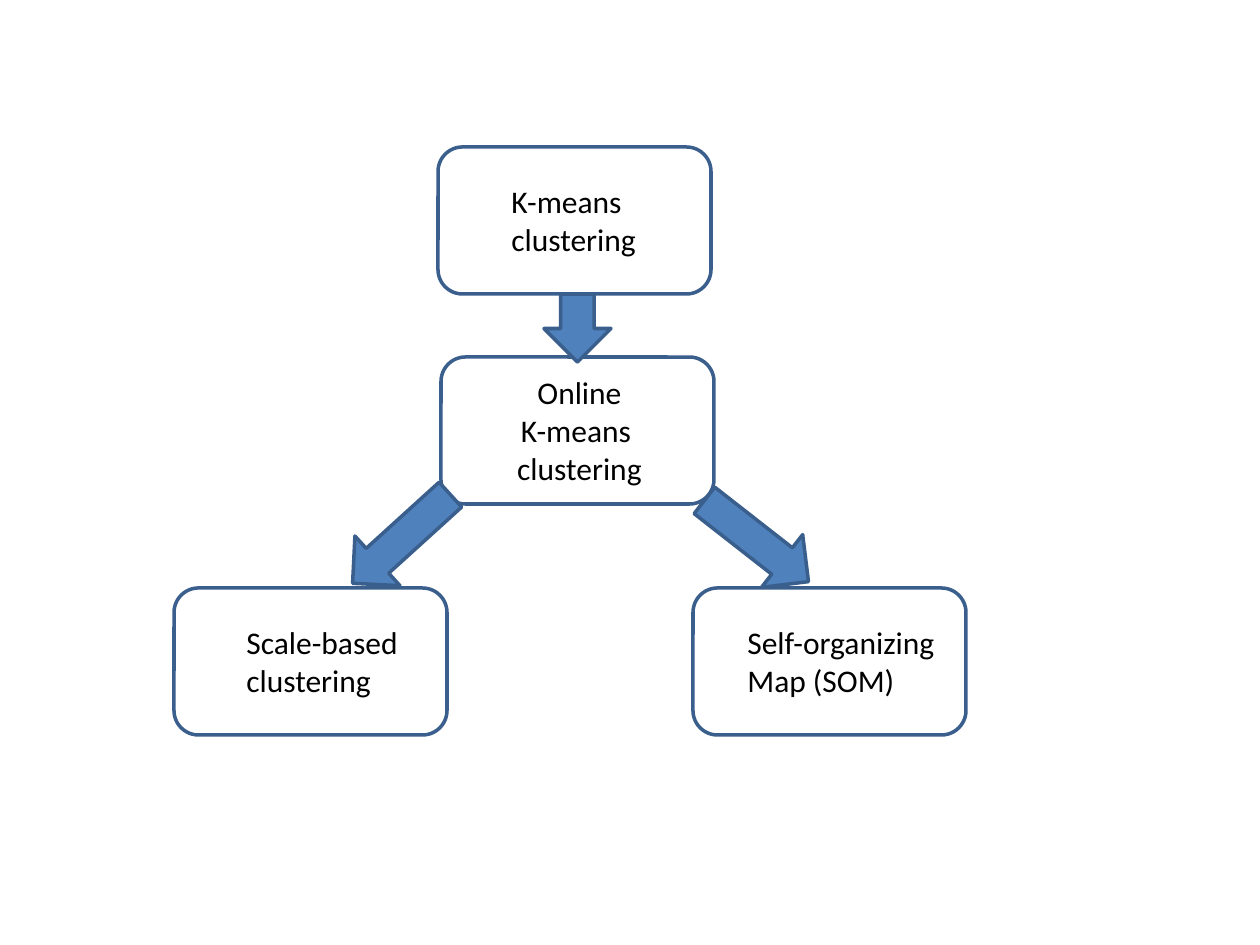
import pptx
import pptx.util
import pptx.dml.color
import pptx.enum.shapes
import pptx.enum.text

PX = pptx.util.Inches(1) / 126
COLOURS = {"line": "3A5F8C", "arrow": "4F81BD", "text": "000000"}
SHAPES = pptx.enum.shapes.MSO_SHAPE
ALIGN = pptx.enum.text.PP_ALIGN
BOX_WIDTH, BOX_HEIGHT = 273, 147
ARROW_WIDTH = 67
LINE_HEIGHT, TEXT_MARGINS = 38, 13


def emu(*lengths):
    return [round(length * PX) for length in lengths]


def colour(name):
    return pptx.dml.color.RGBColor.from_string(COLOURS[name])


def apply_format(target, values):
    for name, value in values.items():
        setattr(target, name, value)


class Diagram:
    font = {"name": "Calibri", "size": pptx.util.Pt(18)}
    frame = {
        "word_wrap": False,
        "auto_size": pptx.enum.text.MSO_AUTO_SIZE.SHAPE_TO_FIT_TEXT,
    }
    line_width = pptx.util.Pt(2)

    def __init__(self, slide):
        self.slide = slide

    def outline(self, kind, left, top, width, height):
        shape = self.slide.shapes.add_shape(kind, *emu(left, top, width, height))
        shape.shadow.inherit = False
        shape.line.color.rgb = colour("line")
        shape.line.width = self.line_width
        return shape

    def text(self, lines, left, top, width, align):
        height = TEXT_MARGINS + LINE_HEIGHT * len(lines)
        shape = self.slide.shapes.add_textbox(*emu(left, top, width, height))
        text_frame = shape.text_frame
        text_frame.text = "\n".join(lines)
        apply_format(text_frame, self.frame)
        for paragraph in text_frame.paragraphs:
            paragraph.alignment = align
            for run in paragraph.runs:
                apply_format(run.font, self.font)
                run.font.color.rgb = colour("text")

    def box(self, left, top, lines, text_left, text_width, align=ALIGN.LEFT):
        shape = self.outline(SHAPES.ROUNDED_RECTANGLE, left, top, BOX_WIDTH, BOX_HEIGHT)
        shape.fill.background()
        text_height = TEXT_MARGINS + LINE_HEIGHT * len(lines)
        text_top = top + (BOX_HEIGHT - text_height) // 2
        self.text(lines, text_left, text_top, text_width, align)

    def arrow(self, left, top, length, rotation=0):
        shape = self.outline(SHAPES.DOWN_ARROW, left, top, ARROW_WIDTH, length)
        shape.fill.solid()
        shape.fill.fore_color.rgb = colour("arrow")
        shape.rotation = rotation


def main():
    presentation = pptx.Presentation()
    presentation.slide_width, presentation.slide_height = emu(1260, 945)
    diagram = Diagram(presentation.slides.add_slide(presentation.slide_layouts[6]))

    diagram.box(438, 147, ["K-means", "clustering"], 499, 151)
    diagram.box(441, 357, ["Online", "K-means ", "clustering"], 504, 151, ALIGN.CENTER)
    diagram.arrow(544, 294, 68)
    diagram.arrow(368, 473, 132, 47.8)
    diagram.box(174, 588, ["Scale-based", "clustering"], 234, 179)
    diagram.box(693, 588, ["Self-organizing", "Map (SOM)"], 735, 215)
    diagram.arrow(723, 475, 132, 308)

    presentation.save("out.pptx")


if __name__ == "__main__":
    main()
